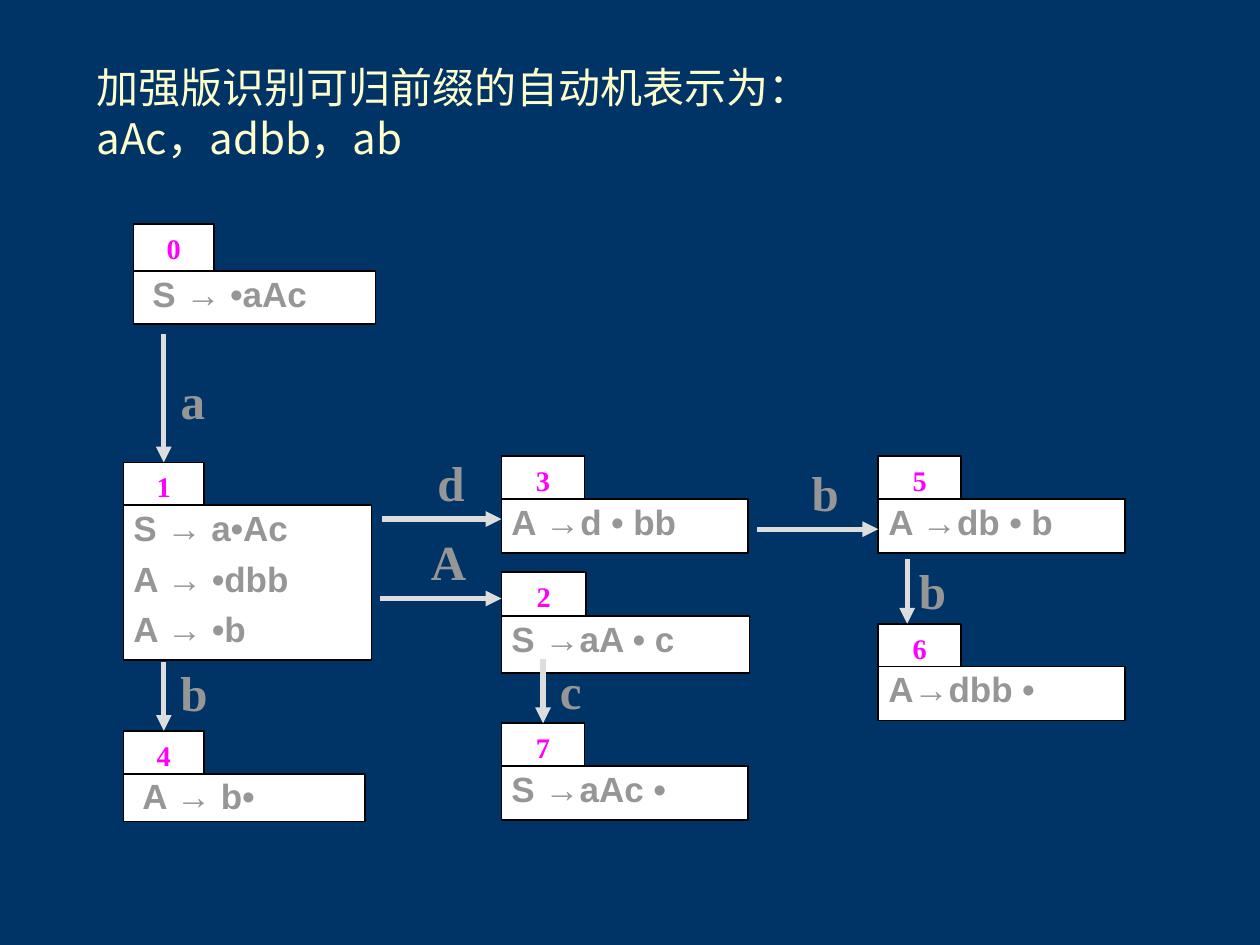
from lxml import etree
from pptx import Presentation
from pptx.dml.color import RGBColor
from pptx.enum import shapes, text
from pptx.oxml import ns
from pptx.util import Inches, Pt

NAVY, WHITE, BLACK = "003366", "FFFFFF", "000000"
CREAM, GREY, PALE, MAGENTA = "FFFFCC", "969696", "DDDDDD", "FF00FF"
SERIF, SANS, CJK = "Times New Roman", "Arial", "Noto Sans CJK SC"
TOP = 0
INSET = 0.01

TITLE = ["加强版识别可归前缀的自动机表示为：", "aAc，adbb，ab"]

# number: (left, top, tab width, tab height, body width, body height, indent, items)
STATES = {
    "0": (1.06, 1.78, 0.64, 0.37, 1.92, 0.42, 0.15, ["S → •aAc"]),
    "1": (0.98, 3.67, 0.64, 0.34, 1.97, 1.23, 0.08,
          ["S → a•Ac", "A → •dbb", "A → •b"]),
    "4": (0.98, 5.8, 0.64, 0.34, 1.92, 0.38, 0.15, ["A → b•"]),
    "7": (3.98, 5.74, 0.66, 0.34, 1.96, 0.43, 0.08, ["S →aAc •"]),
    "2": (3.98, 4.54, 0.67, 0.35, 1.97, 0.45, 0.08, ["S →aA • c"]),
    "3": (3.98, 3.62, 0.66, 0.34, 1.96, 0.43, 0.08, ["A →d • bb"]),
    "5": (6.97, 3.62, 0.66, 0.34, 1.96, 0.43, 0.08, ["A →db • b"]),
    "6": (6.97, 4.95, 0.66, 0.34, 1.96, 0.43, 0.08, ["A→dbb •"]),
}

# symbol, arrow start, arrow end, label position, state whose tab the arrow joins
TRANSITIONS = [
    ("a", (1.3, 2.65), (1.3, 3.67), (1.29, 2.93), "1"),
    ("b", (1.3, 5.25), (1.3, 5.8), (1.3, 5.25), "4"),
    ("c", (4.31, 5.23), (4.31, 5.74), (4.29, 5.23), "7"),
    ("d", (3.03, 4.12), (3.98, 4.12), (3.34, 3.58), None),
    ("A", (3.02, 4.75), (3.98, 4.75), (3.32, 4.21), None),
    ("b", (6.01, 4.2), (6.97, 4.2), (6.31, 3.66), None),
    ("b", (7.2, 4.44), (7.2, 4.95), (7.16, 4.44), None),
]


def color(value):
    return RGBColor.from_string(value)


def write(shape, lines, font, size, ink, bold=True, align=text.PP_ALIGN.LEFT,
          inset=(INSET, INSET)):
    """Fill a shape with paragraphs; inset is (left, the other sides)."""
    frame = shape.text_frame
    frame.word_wrap = True
    frame.vertical_anchor = text.MSO_ANCHOR.TOP
    frame.margin_left = Inches(inset[0])
    frame.margin_top = frame.margin_right = frame.margin_bottom = Inches(inset[1])
    frame.text = "\n".join(lines)
    for paragraph in frame.paragraphs:
        paragraph.alignment = align
        for run in paragraph.runs:
            run.font.name, run.font.size, run.font.bold = font, Pt(size), bold
            run.font.color.rgb = color(ink)
    return frame


def add_box(slide, left, top, width, height):
    box = slide.shapes.add_shape(shapes.MSO_SHAPE.RECTANGLE, Inches(left),
                                 Inches(top), Inches(width), Inches(height))
    box.shadow.inherit = False
    box.fill.solid()
    box.fill.fore_color.rgb = color(WHITE)
    box.line.color.rgb = color(BLACK)
    box.line.width = Pt(1)
    return box


def add_state(slide, number, left, top, tab_width, tab_height,
              body_width, body_height, indent, items):
    """Draw the numbered tab over its item list and return the tab."""
    tab = add_box(slide, left, top, tab_width, tab_height)
    frame = write(tab, [number], SERIF, 28, MAGENTA, align=text.PP_ALIGN.CENTER)
    frame.paragraphs[0].runs[0].font._element.set("baseline", "30000")

    body = add_box(slide, left, top + tab_height, body_width, body_height)
    frame = write(body, items, SANS, 20, GREY, inset=(indent, INSET))
    if len(items) > 1:
        for paragraph in frame.paragraphs:
            paragraph.space_before = Pt(5)
    return tab


def add_transition(slide, symbol, start, end, label_at, target):
    arrow = slide.shapes.add_connector(shapes.MSO_CONNECTOR.STRAIGHT,
                                       *map(Inches, start + end))
    arrow.line.color.rgb = color(PALE)
    arrow.line.width = Pt(3)
    etree.SubElement(arrow.line._get_or_add_ln(), ns.qn("a:tailEnd"), type="triangle")
    etree.SubElement(arrow._element.spPr, ns.qn("a:effectLst"))
    if target is not None:
        arrow.end_connect(target, TOP)

    label = slide.shapes.add_textbox(*map(Inches, label_at + (0.48, 0.57)))
    write(label, [symbol], SERIF, 28, GREY, align=text.PP_ALIGN.CENTER)


def add_title(slide):
    title = slide.shapes.add_textbox(*map(Inches, (0.67, 0.44, 5.83, 0.9)))
    frame = write(title, TITLE, CJK, 24, CREAM, bold=False, inset=(0.1, 0.05))
    frame.margin_right = Inches(0.1)
    frame.auto_size = text.MSO_AUTO_SIZE.SHAPE_TO_FIT_TEXT
    for paragraph in frame.paragraphs:
        for run in paragraph.runs:
            etree.SubElement(run.font._element, ns.qn("a:ea"), typeface=CJK)


def main():
    deck = Presentation()
    deck.slide_width, deck.slide_height = Inches(10), Inches(7.5)
    slide = deck.slides.add_slide(deck.slide_layouts[6])
    slide.background.fill.solid()
    slide.background.fill.fore_color.rgb = color(NAVY)

    tabs = {number: add_state(slide, number, *state)
            for number, state in STATES.items()}
    for symbol, start, end, label_at, target in TRANSITIONS:
        add_transition(slide, symbol, start, end, label_at, tabs.get(target))
    add_title(slide)
    deck.save("out.pptx")


if __name__ == "__main__":
    main()
